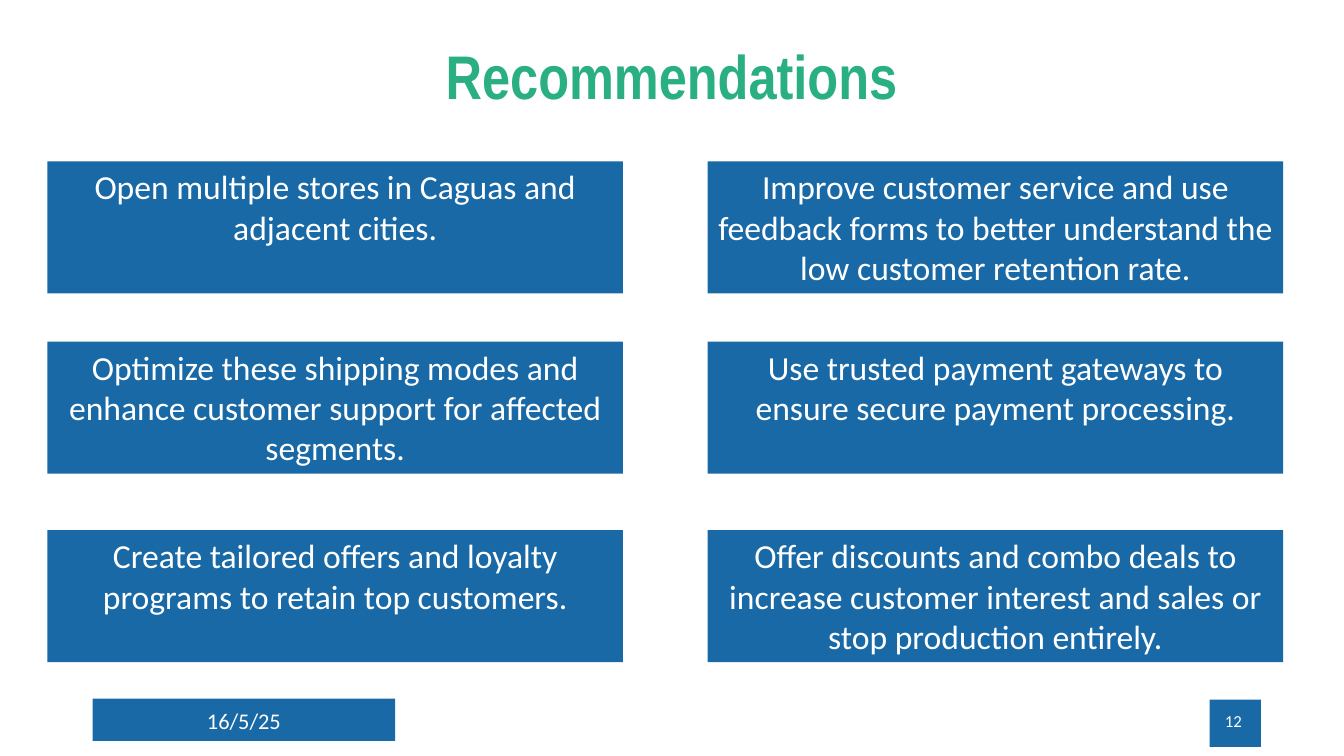
import pptx
import pptx.dml.color
import pptx.enum.shapes
import pptx.enum.text
import pptx.util

Pt = pptx.util.Pt
ALIGN = pptx.enum.text.PP_ALIGN
ANCHOR = pptx.enum.text.MSO_ANCHOR
COLORS = {"blue": "1869A6", "green": "2AAF82", "white": "FFFFFF"}

deck = pptx.Presentation()
deck.slide_width, deck.slide_height = Pt(960), Pt(540)
slide = deck.slides.add_slide(deck.slide_layouts[6])


def add_block(left, top, width, height):
    block = slide.shapes.add_shape(
        pptx.enum.shapes.MSO_SHAPE.RECTANGLE, Pt(left), Pt(top), Pt(width), Pt(height))
    block.shadow.inherit = False
    block.fill.solid()
    block.fill.fore_color.rgb = pptx.dml.color.RGBColor.from_string(COLORS["blue"])
    block.line.fill.background()
    return block


def write(shape, text, size, color="white", font="Calibri", align=ALIGN.CENTER,
          anchor=ANCHOR.MIDDLE):
    frame = shape.text_frame
    frame.word_wrap = True
    frame.vertical_anchor = anchor
    frame.text = text
    paragraph = frame.paragraphs[0]
    paragraph.alignment = align
    run_font = paragraph.runs[0].font
    run_font.name, run_font.size = font, Pt(size)
    run_font.color.rgb = pptx.dml.color.RGBColor.from_string(COLORS[color])
    return paragraph


# Footer blocks
add_block(66.24, 498.96, 216, 30.24)
add_block(864, 499.68, 36.72, 33.84)

# Slide number, title and date
page_number = slide.shapes.add_textbox(Pt(678.24), Pt(500.4), Pt(216), Pt(28.8))
write(page_number, "12", 12, align=ALIGN.RIGHT)

title = slide.shapes.add_textbox(Pt(240.48), Pt(25.92), Pt(478.8), Pt(61.2))
heading = write(title, "Recommendations", 44, "green", "Arial Narrow")
heading.line_spacing = 0.9
heading.runs[0].font.bold = True

date = slide.shapes.add_textbox(Pt(66.24), Pt(500.4), Pt(216), Pt(28.8))
write(date, "16/5/25", 16)

# Recommendations: row top, then left and right text
recommendations = [
    (115.2, "Open multiple stores in Caguas and adjacent cities.",
     "Improve customer service and use feedback forms to better understand the "
     "low customer retention rate."),
    (244.08, "Optimize these shipping modes and enhance customer support for "
     "affected segments.",
     "Use trusted payment gateways to ensure secure payment processing."),
    (378.72, "Create tailored offers and loyalty programs to retain top customers.",
     "Offer discounts and combo deals to increase customer interest and sales or "
     "stop production entirely."),
]
for top, *advice in recommendations:
    for left, text in zip((33.84, 505.44), advice):
        card = add_block(left, top, 411.12, 94.32)
        write(card, text, 24, anchor=ANCHOR.TOP)
        card.text_frame.auto_size = pptx.enum.text.MSO_AUTO_SIZE.SHAPE_TO_FIT_TEXT

deck.save("out.pptx")
